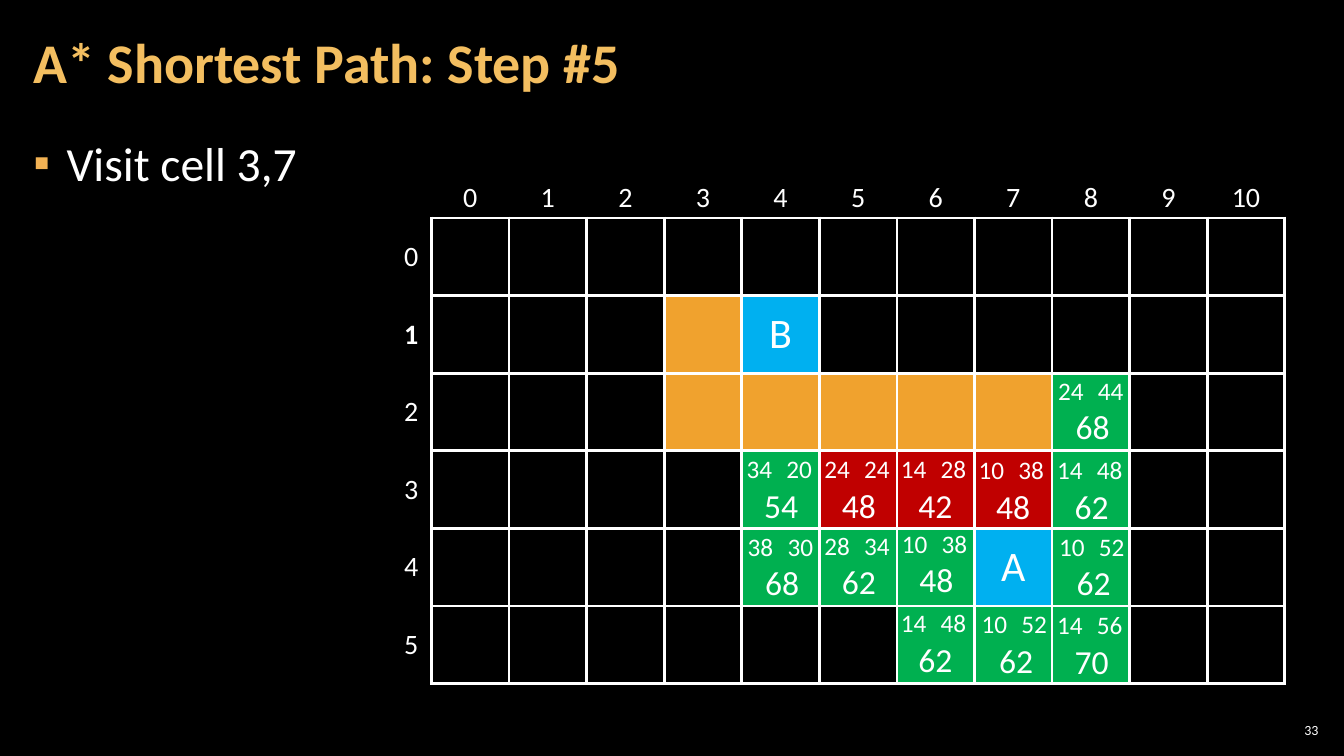
from dataclasses import dataclass

from lxml import etree
from pptx import Presentation
from pptx import util as u
from pptx.dml.color import RGBColor
from pptx.enum import text
from pptx.oxml.ns import qn

BLACK = RGBColor(0x00, 0x00, 0x00)
WHITE = RGBColor(0xFF, 0xFF, 0xFF)
GOLD = RGBColor(0xF3, 0xBE, 0x60)
BULLET_GOLD = RGBColor(0xF2, 0xB2, 0x54)
WALL = RGBColor(0xF0, 0xA2, 0x2E)
ENDPOINT = RGBColor(0x00, 0xB0, 0xF0)
OPEN = RGBColor(0x00, 0xB0, 0x50)
VISITED = RGBColor(0xC0, 0x00, 0x00)

FONT = "Calibri"
ROWS, COLUMNS = 6, 11
CELL, HEADER = 55.44, 28.8
GRID_LEFT, GRID_TOP = 308.16, 154.8
BORDER = 2.25
CURRENT_ROW = 1


@dataclass(frozen=True)
class Score:
    """Costs of one cell: g from the start, h to the goal; dx and dy shift them."""
    row: int
    column: int
    g: int
    h: int
    color: RGBColor = OPEN
    dx: float = 0
    dy: float = 0

    @property
    def f(self) -> int:
        return self.g + self.h


SCORES = [
    Score(4, 6, 10, 38, dy=-2.16),
    Score(5, 6, 14, 48, dx=-0.72, dy=-0.72),
    Score(3, 6, 14, 28, VISITED, dx=-0.72),
    Score(3, 8, 14, 48, dy=0.72),
    Score(4, 8, 10, 52, dx=1.44),
    Score(5, 7, 10, 52, dx=1.44),
    Score(5, 8, 14, 56, dy=0.72),
    Score(3, 5, 24, 24, VISITED),
    Score(4, 5, 28, 34, dy=-0.72),
    Score(3, 4, 34, 20),
    Score(4, 4, 38, 30, dx=0.72),
    Score(2, 8, 24, 44, dx=0.72, dy=-0.72),
    Score(3, 7, 10, 38, VISITED, dx=-0.72, dy=0.72),
]
WALLS = [(1, 3)] + [(2, column) for column in range(3, 8)]
ENDPOINTS = {(1, 4): "B", (4, 7): "A"}


def add_run(paragraph, words: str, size: float, color: RGBColor = WHITE,
            bold: bool = False) -> None:
    run = paragraph.add_run()
    run.text = words
    run.font.name = FONT
    run.font.size = u.Pt(size)
    run.font.bold = bold
    run.font.color.rgb = color


def set_insets(frame, side: float, top: float) -> None:
    frame.margin_left = frame.margin_right = u.Pt(side)
    frame.margin_top = frame.margin_bottom = u.Pt(top)


def place(shape, left: float, top: float, width: float, height: float) -> None:
    shape.left, shape.top = u.Pt(left), u.Pt(top)
    shape.width, shape.height = u.Pt(width), u.Pt(height)


def add_label(shapes, words: str, left: float, top: float, width: float,
              height: float, size: float, align: text.PP_ALIGN):
    frame = shapes.add_textbox(u.Pt(left), u.Pt(top), u.Pt(width), u.Pt(height)).text_frame
    frame.word_wrap = True
    frame.paragraphs[0].alignment = align
    add_run(frame.paragraphs[0], words, size)
    return frame


def fill_title(title) -> None:
    place(title, 15.12, 2.88, 753.84, 87.12)
    frame = title.text_frame
    frame.auto_size = text.MSO_AUTO_SIZE.NONE
    frame.vertical_anchor = text.MSO_ANCHOR.MIDDLE
    set_insets(frame, 8.64, 2.88)
    paragraph = frame.paragraphs[0]
    paragraph.alignment = text.PP_ALIGN.LEFT
    paragraph.line_spacing = 0.9
    add_run(paragraph, "A* Shortest Path: Step #5", 40, GOLD, bold=True)


def fill_body(body) -> None:
    place(body, 15.12, 90.72, 929.52, 438.48)
    frame = body.text_frame
    frame.auto_size = text.MSO_AUTO_SIZE.NONE
    set_insets(frame, 8.64, 2.88)
    paragraph = frame.paragraphs[0]
    paragraph.line_spacing = 1.05
    paragraph.space_before, paragraph.space_after = u.Pt(0), u.Pt(6)
    properties = paragraph._p.get_or_add_pPr()
    properties.set("marL", str(u.Pt(23.76)))
    properties.set("indent", str(u.Pt(-23.76)))
    bullet_color = etree.SubElement(properties, qn("a:buClr"))
    etree.SubElement(bullet_color, qn("a:srgbClr"), val=str(BULLET_GOLD))
    etree.SubElement(properties, qn("a:buChar"), char="▪")
    add_run(paragraph, "Visit cell 3,7", 34)


def set_borders(cell, white_edges: str) -> None:
    """Draw the edges named by letter (L, R, T, B) and hide the others."""
    properties = cell._tc.get_or_add_tcPr()
    for edge in "LRTB":
        line = etree.SubElement(properties, qn(f"a:ln{edge}"), w=str(u.Pt(BORDER)))
        if edge in white_edges:
            solid = etree.SubElement(line, qn("a:solidFill"))
            etree.SubElement(solid, qn("a:srgbClr"), val=str(WHITE))
        else:
            etree.SubElement(line, qn("a:noFill"))


def write_cell(cell, words: str, size: float, bold: bool = False) -> None:
    cell.vertical_anchor = text.MSO_ANCHOR.MIDDLE
    set_insets(cell, 5.76, 2.88)
    paragraph = cell.text_frame.paragraphs[0]
    paragraph.alignment = text.PP_ALIGN.CENTER
    add_run(paragraph, words, size, bold=bold)


def add_grid(slide) -> None:
    grid = slide.shapes.add_table(
        ROWS + 1, COLUMNS + 1, u.Pt(GRID_LEFT - HEADER), u.Pt(GRID_TOP - HEADER),
        u.Pt(HEADER + COLUMNS * CELL), u.Pt(HEADER + ROWS * CELL)).table
    grid.first_row = grid.horz_banding = False
    for tracks, measure in ((grid.columns, "width"), (grid.rows, "height")):
        for index, track in enumerate(tracks):
            setattr(track, measure, u.Pt(CELL if index else HEADER))

    colors = {(score.row, score.column): score.color for score in SCORES}
    colors.update(dict.fromkeys(WALLS, WALL))
    colors.update(dict.fromkeys(ENDPOINTS, ENDPOINT))
    for row in range(-1, ROWS):
        for column in range(-1, COLUMNS):
            cell = grid.cell(row + 1, column + 1)
            if row < 0 and column < 0:
                set_borders(cell, "")
            elif row < 0:
                set_borders(cell, "B")
                write_cell(cell, str(column), 20)
            elif column < 0:
                set_borders(cell, "R")
                write_cell(cell, str(row), 20, bold=row == CURRENT_ROW)
            else:
                set_borders(cell, "LRTB")
            if (row, column) in ENDPOINTS:
                write_cell(cell, ENDPOINTS[row, column], 30)
            if (row, column) in colors:
                cell.fill.solid()
                cell.fill.fore_color.rgb = colors[row, column]
            else:
                cell.fill.background()


def add_score(slide, score: Score) -> None:
    left = GRID_LEFT + score.column * CELL - 3.6 + score.dx
    top = GRID_TOP + score.row * CELL - 0.72 + score.dy
    shapes = slide.shapes.add_group_shape().shapes
    add_label(shapes, str(score.f), left + 4.7, top + 22.3, 54, 36, 24, text.PP_ALIGN.CENTER)
    for cost, shift in ((score.g, 0), (score.h, 28.4)):
        add_label(shapes, str(cost), left + shift, top, 36, 28.8, 18, text.PP_ALIGN.LEFT)


def main() -> None:
    deck = Presentation()
    deck.slide_width, deck.slide_height = u.Pt(960), u.Pt(540)
    slide = deck.slides.add_slide(deck.slide_layouts[1])
    slide.background.fill.solid()
    slide.background.fill.fore_color.rgb = BLACK

    page_number = add_label(slide.shapes, "33", 910.8, 514.08, 33.84, 15.12, 10,
                            text.PP_ALIGN.RIGHT)
    page_number.vertical_anchor = text.MSO_ANCHOR.MIDDLE
    set_insets(page_number, 2.88, 2.88)
    fill_title(slide.shapes.title)
    fill_body(slide.placeholders[1])
    add_grid(slide)
    for score in SCORES:
        add_score(slide, score)
    deck.save("out.pptx")


if __name__ == "__main__":
    main()
